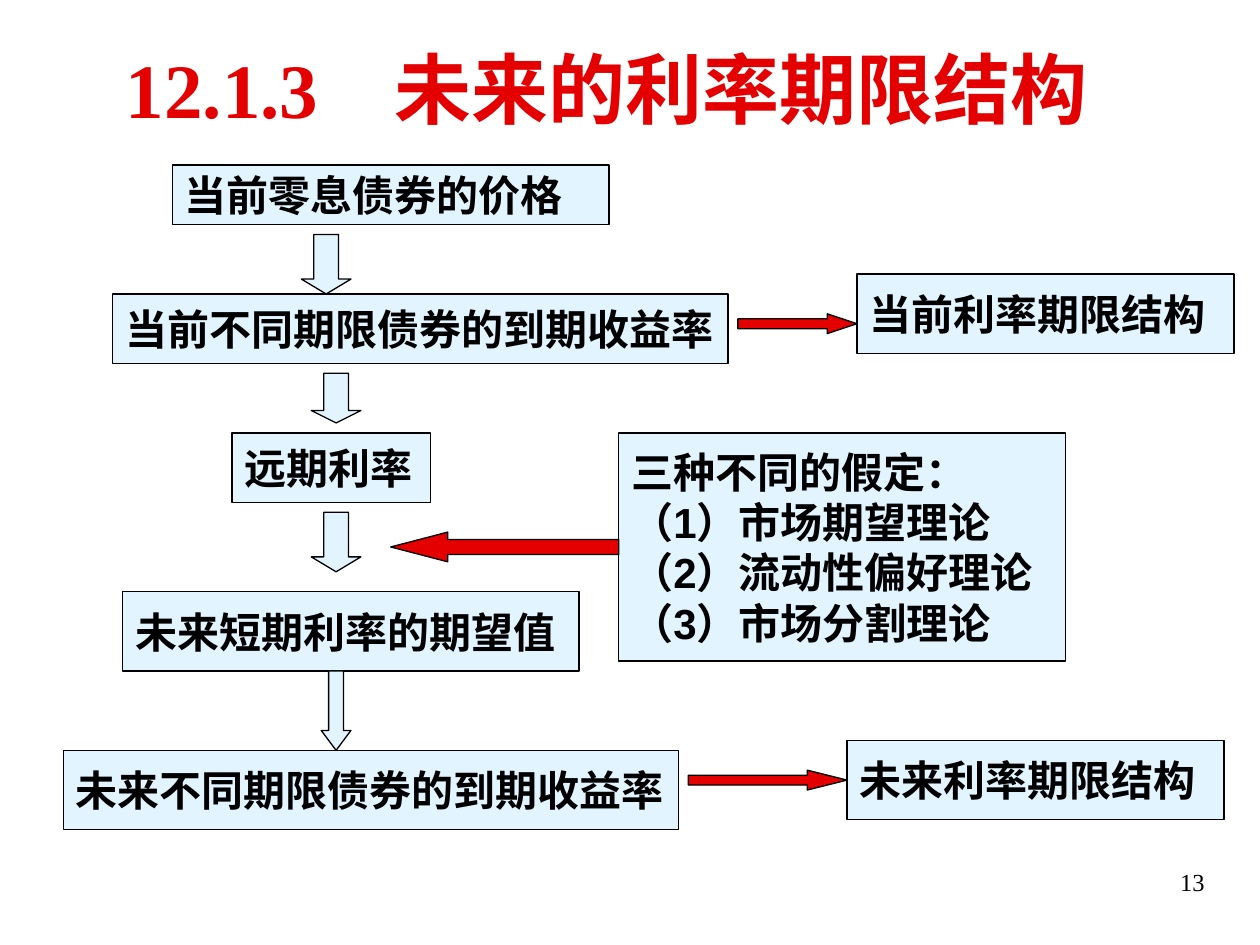
from dataclasses import dataclass

import pptx
import pptx.dml.color
import pptx.enum.shapes
import pptx.enum.text
import pptx.oxml
import pptx.oxml.ns
import pptx.util

Shape = pptx.enum.shapes.MSO_SHAPE
Align = pptx.enum.text.PP_ALIGN
Anchor = pptx.enum.text.MSO_ANCHOR
Inches = pptx.util.Inches


@dataclass(frozen=True)
class Theme:
    pale: str = "E1F4FF"
    red: str = "E40000"
    ink: str = "000000"
    sans: str = "Arial"
    serif: str = "Times New Roman"
    title_size: int = 44
    body_size: int = 24
    number_size: int = 14
    line_width: float = 0.75


@dataclass(frozen=True)
class Area:
    """A place on the grid, in whole columns and rows."""
    column: int
    row: int
    columns: int
    rows: int


@dataclass(frozen=True)
class Step:
    area: Area
    lines: tuple[str, ...]


@dataclass(frozen=True)
class Arrow:
    area: Area
    kind: Shape
    color: str
    head: float  # head length as a share of the arrow's thickness


THEME = Theme()
CELL = 2 / 25.4  # the grid is 2 mm square
GRID_LEFT, GRID_TOP = 0.03, 0.05
TITLE_TAB = 2.13

STEPS = (
    Step(Area(17, 16, 44, 6), ("当前零息债券的价格",)),
    Step(Area(11, 29, 62, 7), ("当前不同期限债券的到期收益率",)),
    Step(Area(23, 43, 20, 7), ("远期利率",)),
    Step(Area(12, 59, 46, 8), ("未来短期利率的期望值",)),
    Step(Area(6, 75, 62, 8), ("未来不同期限债券的到期收益率",)),
    Step(Area(86, 27, 38, 8), ("当前利率期限结构",)),
    Step(Area(85, 74, 38, 8), ("未来利率期限结构",)),
    Step(Area(62, 43, 45, 23), (
        "三种不同的假定：",
        "（1）市场期望理论",
        "（2）流动性偏好理论",
        "（3）市场分割理论",
    )),
)

ARROWS = (
    Arrow(Area(30, 23, 5, 6), Shape.DOWN_ARROW, THEME.pale, 0.3),
    Arrow(Area(31, 37, 5, 5), Shape.DOWN_ARROW, THEME.pale, 0.25),
    Arrow(Area(31, 51, 5, 6), Shape.DOWN_ARROW, THEME.pale, 0.3),
    Arrow(Area(32, 67, 3, 8), Shape.DOWN_ARROW, THEME.pale, 0.67),
    Arrow(Area(39, 53, 23, 3), Shape.LEFT_ARROW, THEME.red, 1.92),
    Arrow(Area(74, 31, 12, 2), Shape.RIGHT_ARROW, THEME.red, 1.5),
    Arrow(Area(69, 77, 16, 2), Shape.RIGHT_ARROW, THEME.red, 2),
)


def rgb(color: str) -> pptx.dml.color.RGBColor:
    return pptx.dml.color.RGBColor.from_string(color)


def add_span(para, text: str, font: str, size: int, color: str, bold: bool) -> None:
    span = para.add_run()
    span.text = text
    span.font.name = font
    span.font.size = pptx.util.Pt(size)
    span.font.bold = bold
    span.font.color.rgb = rgb(color)


def add_outlined(page, kind: Shape, area: Area, color: str):
    """Add a filled shape with a thin outline on the grid."""
    shape = page.shapes.add_shape(
        kind,
        Inches(GRID_LEFT + area.column * CELL),
        Inches(GRID_TOP + area.row * CELL),
        Inches(area.columns * CELL),
        Inches(area.rows * CELL),
    )
    shape.shadow.inherit = False
    shape.fill.solid()
    shape.fill.fore_color.rgb = rgb(color)
    shape.line.color.rgb = rgb(THEME.ink)
    shape.line.width = pptx.util.Pt(THEME.line_width)
    return shape


def add_step(page, step: Step) -> None:
    frame = add_outlined(page, Shape.RECTANGLE, step.area, THEME.pale).text_frame
    frame.word_wrap = False
    frame.vertical_anchor = Anchor.MIDDLE
    for index, line in enumerate(step.lines):
        para = frame.add_paragraph() if index else frame.paragraphs[0]
        para.alignment = Align.LEFT
        add_span(para, line, THEME.sans, THEME.body_size, THEME.ink, True)


def add_arrow(page, arrow: Arrow) -> None:
    shape = add_outlined(page, arrow.kind, arrow.area, arrow.color)
    shape.adjustments[0] = 0.5
    shape.adjustments[1] = arrow.head


def add_text_line(page, left: float, top: float, width: float, height: float):
    """Add a wrapping text box and return its first paragraph."""
    box = page.shapes.add_textbox(
        Inches(left), Inches(top), Inches(width), Inches(height))
    box.text_frame.word_wrap = True
    return box.text_frame.paragraphs[0]


def add_title(page) -> None:
    para = add_text_line(page, 0.9, 0.28, 7.95, 0.84)
    tabs = pptx.oxml.parse_xml(
        f'<a:tabLst {pptx.oxml.ns.nsdecls("a")}>'
        f'<a:tab pos="{Inches(TITLE_TAB)}" algn="l"/></a:tabLst>')
    para._p.get_or_add_pPr().append(tabs)
    add_span(para, "12.1.3\t未来的利率期限结构",
             THEME.serif, THEME.title_size, THEME.red, True)


def add_page_number(page) -> None:
    para = add_text_line(page, 7.16, 6.83, 2.5, 0.52)
    para.alignment = Align.RIGHT
    add_span(para, "13", THEME.serif, THEME.number_size, THEME.ink, False)


def main() -> None:
    deck = pptx.Presentation()
    deck.slide_width, deck.slide_height = Inches(10), Inches(7.5)
    page = deck.slides.add_slide(deck.slide_layouts[6])
    for step in STEPS:
        add_step(page, step)
    for arrow in ARROWS:
        add_arrow(page, arrow)
    add_title(page)
    add_page_number(page)
    deck.save("out.pptx")


if __name__ == "__main__":
    main()
